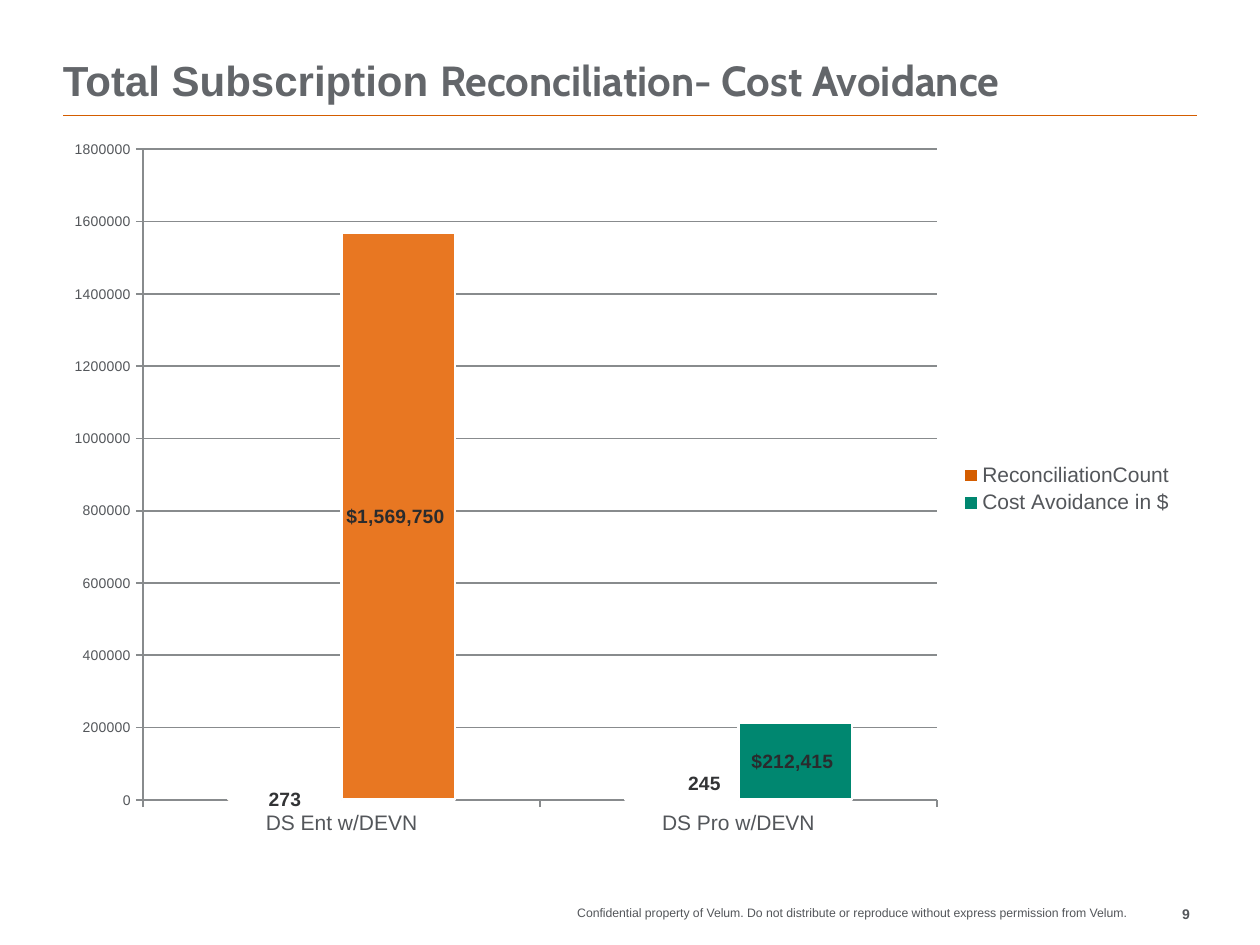
from pptx import Presentation
from pptx.chart.data import CategoryChartData
from pptx.dml.color import RGBColor
from pptx.enum.chart import (XL_CHART_TYPE, XL_LABEL_POSITION,
                             XL_LEGEND_POSITION, XL_TICK_MARK)
from pptx.enum.shapes import MSO_CONNECTOR
from pptx.enum.text import MSO_ANCHOR, PP_ALIGN
from pptx.oxml import parse_xml
from pptx.oxml.ns import nsdecls, qn
from pptx.util import Pt

COLUMNS = XL_CHART_TYPE.COLUMN_CLUSTERED
CENTER = XL_LABEL_POSITION.CENTER
OUTSIDE_END = XL_LABEL_POSITION.OUTSIDE_END
LEGEND_RIGHT = XL_LEGEND_POSITION.RIGHT
TICK_OUT = XL_TICK_MARK.OUTSIDE
STRAIGHT = MSO_CONNECTOR.STRAIGHT
TOP, BOTTOM = MSO_ANCHOR.TOP, MSO_ANCHOR.BOTTOM
LEFT, RIGHT = PP_ALIGN.LEFT, PP_ALIGN.RIGHT

ORANGE, AMBER, GREEN = "D45D00", "E87722", "008770"
GRAY, TITLE_GRAY, AXIS_GRAY = "53565A", "63666A", "888B8D"
DOLLARS = '"$"#,##0_);[Red]\\("$"#,##0\\)'


def rgb(color):
    """Turn a hex string into a colour."""
    return RGBColor.from_string(color)


def set_font(font, size, color=GRAY, bold=False, name="Arial"):
    """Set the format of a font."""
    font.size, font.bold, font.name = Pt(size), bold, name
    font.color.rgb = rgb(color)


def set_line(line, color, width=1):
    """Set the colour and width of a line."""
    line.color.rgb = rgb(color)
    line.width = Pt(width)


def add_text(s, text, box, size, color=GRAY, bold=False, align=LEFT,
             anchor=TOP, wrap=False, spacing=None):
    """Add a one-paragraph text box; text is a list of (words, font name)."""
    tf = s.shapes.add_textbox(*map(Pt, box)).text_frame
    tf.margin_left = tf.margin_right = tf.margin_top = tf.margin_bottom = 0
    tf.word_wrap, tf.vertical_anchor = wrap, anchor
    p = tf.paragraphs[0]
    p.alignment, p.line_spacing = align, spacing
    for words, name in text:
        r = p.add_run()
        r.text = words
        set_font(r.font, size, color, bold, name)


def add_rule(s, x1, x2, y, color):
    """Add a horizontal line without a shadow."""
    line = s.shapes.add_connector(STRAIGHT, Pt(x1), Pt(y), Pt(x2), Pt(y))
    set_line(line.line, color)
    line._element.spPr.append(parse_xml(f"<a:effectLst {nsdecls('a')}/>"))


def manual_layout(inner=False, **fractions):
    """Build a chart layout from fractions of the chart's size."""
    target = '<c:layoutTarget val="inner"/>' if inner else ""
    modes = '<c:xMode val="edge"/><c:yMode val="edge"/>' if inner else ""
    sizes = "".join(f'<c:{k} val="{v}"/>' for k, v in fractions.items())
    return parse_xml(f"<c:layout {nsdecls('c')}><c:manualLayout>{target}{modes}"
                     f"{sizes}</c:manualLayout></c:layout>")


def format_axis(axis, size):
    """Set the line, ticks and labels of an axis."""
    axis.major_tick_mark = TICK_OUT
    set_line(axis.format.line, AXIS_GRAY)
    set_font(axis.tick_labels.font, size)


def format_series(ser, color, label_color, position):
    """Set the fill, outline and value labels of a series."""
    ser.format.fill.solid()
    ser.format.fill.fore_color.rgb = rgb(color)
    set_line(ser.format.line, "FFFFFF", 1.5)
    labels = ser.data_labels
    labels.show_value, labels.position = True, position
    set_font(labels.font, 11, label_color, True)


def place_label(ser, index, position, **offset):
    """Give one value label its own place."""
    label = ser.points[index].data_label
    set_font(label.font, 11, "323335", True)
    label.position = position
    if offset:
        for idx in ser._element.iter(qn("c:idx")):
            parent = idx.getparent()
            if parent.tag == qn("c:dLbl") and idx.get("val") == str(index):
                idx.addnext(manual_layout(**offset))


def add_cost_chart(s, box):
    """Add the column chart of counts and avoided costs."""
    data = CategoryChartData()
    data.categories = ["DS Ent w/DEVN", "DS Pro w/DEVN"]
    data.add_series("ReconciliationCount", [273, 245])
    data.add_series("Cost Avoidance in $", [1569750, 212415])
    chart = s.shapes.add_chart(COLUMNS, *map(Pt, box), data).chart
    set_font(chart.font, 18)
    chart.has_title = False

    chart.has_legend = True
    chart.legend.position = LEGEND_RIGHT
    chart.legend.include_in_layout = False
    set_font(chart.legend.font, 12)

    format_axis(chart.category_axis, 12)
    value_axis = chart.value_axis
    format_axis(value_axis, 8)
    value_axis.minimum_scale, value_axis.maximum_scale = 0, 1800000
    value_axis.major_unit = 200000
    set_line(value_axis.major_gridlines.format.line, AXIS_GRAY)

    plot = chart.plots[0]
    plot.gap_width, plot.overlap, plot.vary_by_categories = 150, 0, False
    counts, costs = plot.series
    format_series(counts, ORANGE, "323335", OUTSIDE_END)
    place_label(counts, 0, CENTER)
    place_label(counts, 1, OUTSIDE_END, x=0.02, y=0)
    format_series(costs, GREEN, "2A2B2D", CENTER)
    costs.data_labels.number_format = DOLLARS
    costs.data_labels.number_format_is_linked = False
    first = costs.points[0].format
    first.fill.solid()
    first.fill.fore_color.rgb = rgb(AMBER)
    set_line(first.line, "FFFFFF", 1.5)

    area = chart._chartSpace.chart.plotArea
    for old in area.findall(qn("c:layout")):
        area.remove(old)
    area.insert(0, manual_layout(inner=True, x=0.08, y=0.03, w=0.7, h=0.9))


def main():
    """Build the slide and save it."""
    prs = Presentation()
    prs.slide_width, prs.slide_height = Pt(720), Pt(540)
    s = prs.slides.add_slide(prs.slide_layouts[6])
    add_rule(s, 36, 684, 66, ORANGE)
    add_text(s, [("Confidential property of Velum. Do not distribute or "
                  "reproduce without express permission from Velum.", "Arial")],
             (240, 517.5, 404, 16.5), 7, align=RIGHT)
    add_text(s, [("9", "Arial")], (644, 517.5, 36, 16.5), 8, bold=True,
             align=RIGHT)
    add_text(s, [("Total Subscription ", "Arial"),
                 ("Reconciliation- Cost Avoidance", "Cabin")],
             (36, 12, 648, 48.5), 24, TITLE_GRAY, bold=True, anchor=BOTTOM,
             wrap=True, spacing=0.9)
    add_cost_chart(s, (30, 73, 648, 413))
    prs.save("out.pptx")


main()
